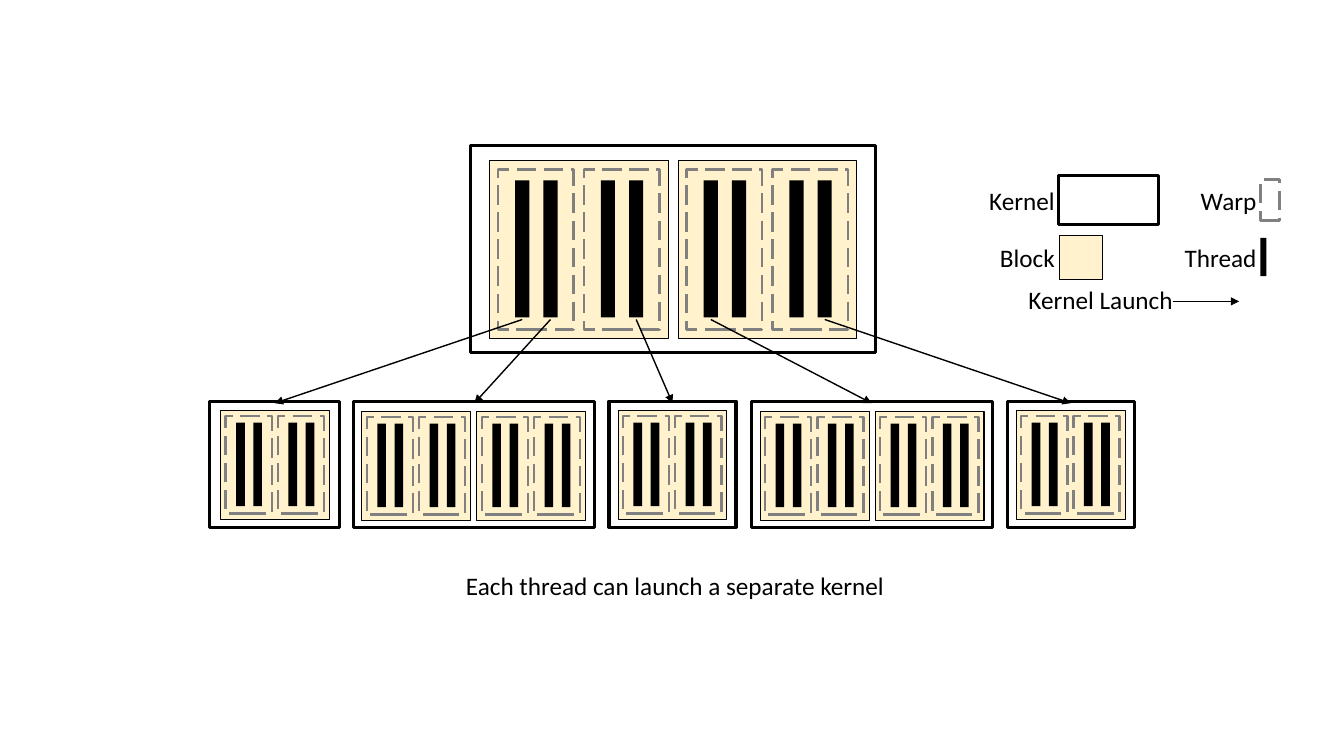
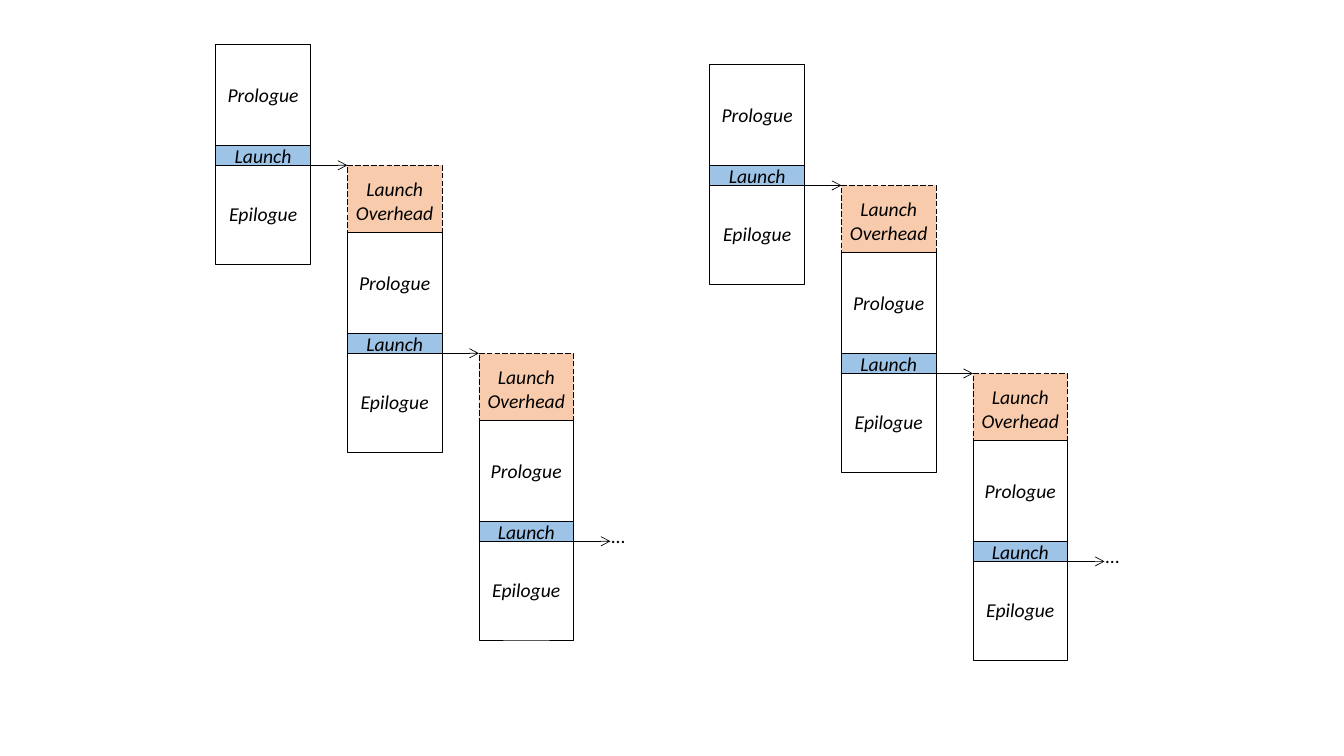
from dataclasses import dataclass
from typing import Optional

from lxml import etree
from pptx import Presentation
from pptx.dml.color import RGBColor
from pptx.enum.dml import MSO_LINE
from pptx.enum.shapes import MSO_CONNECTOR, MSO_SHAPE
from pptx.enum.text import MSO_ANCHOR, MSO_AUTO_SIZE, PP_ALIGN
from pptx.oxml.ns import qn
from pptx.shapes.autoshape import Shape
from pptx.shapes.shapetree import GroupShapes
from pptx.slide import Slide
from pptx.text.text import TextFrame
from pptx.util import Inches, Pt

RECT = MSO_SHAPE.RECTANGLE
STRAIGHT = MSO_CONNECTOR.STRAIGHT
DASH = MSO_LINE.LONG_DASH
MIDDLE = MSO_ANCHOR.MIDDLE
GROW = MSO_AUTO_SIZE.SHAPE_TO_FIT_TEXT
LEFT, CENTER, RIGHT = PP_ALIGN.LEFT, PP_ALIGN.CENTER, PP_ALIGN.RIGHT
BLANK = 6


@dataclass(frozen=True)
class Theme:
    """Colours, font and type sizes of the deck."""
    ink: str = "000000"
    paper: str = "FFFFFF"
    gray: str = "808080"
    cream: str = "FFF2CC"
    blue: str = "9DC3E6"
    peach: str = "F8CBAD"
    font: str = "Calibri"
    label: int = 18
    small: int = 14


THEME = Theme()


@dataclass(frozen=True)
class Look:
    """Fill and outline of a box."""
    fill: Optional[str] = None
    line: Optional[str] = THEME.ink
    weight: float = 0.5
    dashed: bool = False


KERNEL = Look(weight=2.25)
BLOCK = Look(THEME.cream, weight=0.75)
WARP = Look(line=THEME.gray, weight=1.75, dashed=True)
THREAD = Look(THEME.ink, line=None)
PLAIN = Look(THEME.paper)
LAUNCH = Look(THEME.blue)
DELAY = Look(THEME.peach, dashed=True)


@dataclass(frozen=True)
class Area:
    """A rectangle in inches."""
    x: float
    y: float
    w: float
    h: float


@dataclass(frozen=True)
class Grid:
    """A kernel frame with equal square blocks in a row."""
    frame: Area
    x: float
    y: float
    side: float
    pitch: float
    count: int = 1


@dataclass(frozen=True)
class Key:
    """A legend entry: label, its place, and sample."""
    text: str
    place: Area
    sample: Area
    look: Look


# Inner layout of a block, measured on a block of side UNIT
UNIT = 1.77
WARP_AREA = Area(0.08, 0.09, 0.75, 1.59)
WARP_STEP = 0.85
THREAD_AREA = Area(0.25, 0.2, 0.14, 1.36)
THREAD_STEP = 0.28

PARENT = Grid(Area(4.67, 1.44, 4.01, 2.06), 4.86, 1.59, UNIT, 1.87, 2)


def child(x: float, w: float, inset: float, count: int = 1) -> Grid:
    """Describe a launched kernel in the lower row."""
    y = 4.07 if count == 1 else 4.08
    return Grid(Area(x, 3.98, w, 1.25), x + inset, y, 1.08, 1.14, count)


CHILDREN = (child(2.08, 1.29, 0.11), child(3.51, 2.39, 0.08, 2),
            child(6.04, 1.26, 0.09), child(7.45, 2.39, 0.09, 2),
            child(9.99, 1.26, 0.09))
CALLERS = (0, 1, 3, 4, 7)

KEYS = (
    Key("Kernel", Area(9.7, 1.79, 0.86, 0.4),
        Area(10.5, 1.74, 0.99, 0.49), KERNEL),
    Key("Block", Area(9.81, 2.35, 0.75, 0.4),
        Area(10.51, 2.34, 0.43, 0.43), BLOCK),
    Key("Warp", Area(11.8, 1.79, 0.76, 0.4),
        Area(12.5, 1.78, 0.19, 0.41), WARP),
    Key("Thread", Area(11.64, 2.35, 0.92, 0.4),
        Area(12.5, 2.36, 0.06, 0.38), THREAD),
)

# Stair of kernels on the second slide
STAGES = 3
WIDTH = 0.94
HOP = 2.61 / 2
DROP = 3.73 / 2
PHASE = 1.0
CALL = 0.2
WAIT = 0.7
LAP = 0.02


def style(frame: TextFrame, text: str, size: int, align: PP_ALIGN,
          italic: bool = False) -> None:
    """Write text into a frame and format it."""
    frame.text = text
    for para in frame.paragraphs:
        para.alignment = align
        for run in para.runs:
            font = run.font
            font.name, font.size, font.italic = THEME.font, Pt(size), italic
            font.color.rgb = RGBColor.from_string(THEME.ink)


def trim(frame: TextFrame) -> None:
    """Remove the insets of a text frame."""
    frame.margin_left = frame.margin_right = 0
    frame.margin_top = frame.margin_bottom = 0


def box(group: GroupShapes, area: Area, look: Look) -> Shape:
    """Draw a rectangle."""
    shape = group.add_shape(RECT, Inches(area.x), Inches(area.y),
                            Inches(area.w), Inches(area.h))
    shape.shadow.inherit = False
    if look.fill:
        shape.fill.solid()
        shape.fill.fore_color.rgb = RGBColor.from_string(look.fill)
    else:
        shape.fill.background()
    if look.line:
        shape.line.color.rgb = RGBColor.from_string(look.line)
        shape.line.width = Pt(look.weight)
        if look.dashed:
            shape.line.dash_style = DASH
    else:
        shape.line.fill.background()
    return shape


def label(group: GroupShapes, area: Area, text: str, size: int,
          align: PP_ALIGN, tight: bool = False) -> None:
    """Add a single-line text box."""
    frame = group.add_textbox(Inches(area.x), Inches(area.y),
                              Inches(area.w), Inches(area.h)).text_frame
    frame.word_wrap = False
    frame.auto_size = GROW
    if tight:
        trim(frame)
    style(frame, text, size, align)


def arrow(group: GroupShapes, start: tuple[float, float],
          end: tuple[float, float], weight: float, head: str) -> None:
    """Draw a straight arrow from start to end."""
    link = group.add_connector(STRAIGHT, Inches(start[0]), Inches(start[1]),
                               Inches(end[0]), Inches(end[1]))
    link.line.color.rgb = RGBColor.from_string(THEME.ink)
    link.line.width = Pt(weight)
    props = link.element.spPr
    etree.SubElement(props.find(qn("a:ln")), qn("a:tailEnd"), type=head)
    etree.SubElement(props, qn("a:effectLst"))


def cell(area: Area, x: float, y: float, scale: float) -> Area:
    """Scale a part of a block and move it into place."""
    return Area(x + area.x * scale, y + area.y * scale,
                area.w * scale, area.h * scale)


def kernel(slide: Slide, grid: Grid) -> list[float]:
    """Draw a kernel and return the centres of its threads."""
    group = slide.shapes.add_group_shape().shapes
    scale = grid.side / UNIT
    mids = []
    box(group, grid.frame, KERNEL)
    for i in range(grid.count):
        left = grid.x + i * grid.pitch
        box(group, Area(left, grid.y, grid.side, grid.side), BLOCK)
        for j in range(2):
            x = left + j * WARP_STEP * scale
            for k in range(2):
                bar = cell(THREAD_AREA, x + k * THREAD_STEP * scale,
                           grid.y, scale)
                box(group, bar, THREAD)
                mids.append(bar.x + bar.w / 2)
            box(group, cell(WARP_AREA, x, grid.y, scale), WARP)
    return mids


def legend(slide: Slide) -> None:
    """Draw the key to the shapes."""
    group = slide.shapes.add_group_shape().shapes
    for key in KEYS:
        box(group, key.sample, key.look)
        label(group, key.place, key.text, THEME.label, RIGHT)
    arrow(group, (11.63, 2.99), (12.29, 2.99), 1, "triangle")
    label(group, Area(10.08, 2.77, 1.65, 0.4), "Kernel Launch",
          THEME.label, RIGHT)


def nested(slide: Slide) -> None:
    """Draw threads that launch kernels."""
    for grid in CHILDREN:
        kernel(slide, grid)
    mids = kernel(slide, PARENT)
    label(slide.shapes, Area(4.52, 5.61, 4.35, 0.4),
          "Each thread can launch a separate kernel", THEME.label, CENTER)
    group = slide.shapes.add_group_shape().shapes
    for caller, grid in zip(CALLERS, CHILDREN):
        end = grid.frame.x + grid.frame.w / 2
        arrow(group, (mids[caller], 3.17), (end, 4), 1, "triangle")
    legend(slide)


def phase(group: GroupShapes, area: Area, text: str, look: Look) -> None:
    """Draw one named phase of a kernel."""
    frame = box(group, area, look).text_frame
    frame.word_wrap = True
    frame.vertical_anchor = MIDDLE
    trim(frame)
    style(frame, text, THEME.small, CENTER, italic=True)


def stair(slide: Slide, left: float, top: float) -> None:
    """Draw a chain of kernels, each launched by the one before."""
    group = slide.shapes.add_group_shape().shapes
    for i in range(STAGES):
        x, y = left + i * HOP, top + i * DROP
        call = y + PHASE
        base = call + CALL
        if i:
            phase(group, Area(x, base - DROP, WIDTH, WAIT),
                  "Launch Overhead", DELAY)
        arrow(group, (x + WIDTH, base), (x + HOP, base), 0.5, "arrow")
        phase(group, Area(x, base - LAP, WIDTH, PHASE), "Epilogue", PLAIN)
        phase(group, Area(x, y, WIDTH, PHASE), "Prologue", PLAIN)
        phase(group, Area(x, call, WIDTH, CALL), "Launch", LAUNCH)
    label(group, Area(x + HOP + 0.01, base - 0.17, 0.27, 0.24), "…",
          THEME.small, LEFT, tight=True)


def main() -> None:
    """Build and save the deck."""
    deck = Presentation()
    deck.slide_width, deck.slide_height = Inches(13.33), Inches(7.5)
    layout = deck.slide_layouts[BLANK]
    nested(deck.slides.add_slide(layout))
    chains = deck.slides.add_slide(layout)
    stair(chains, 2.14, 0.44)
    stair(chains, 7.04, 0.64)
    deck.save("out.pptx")


main()
